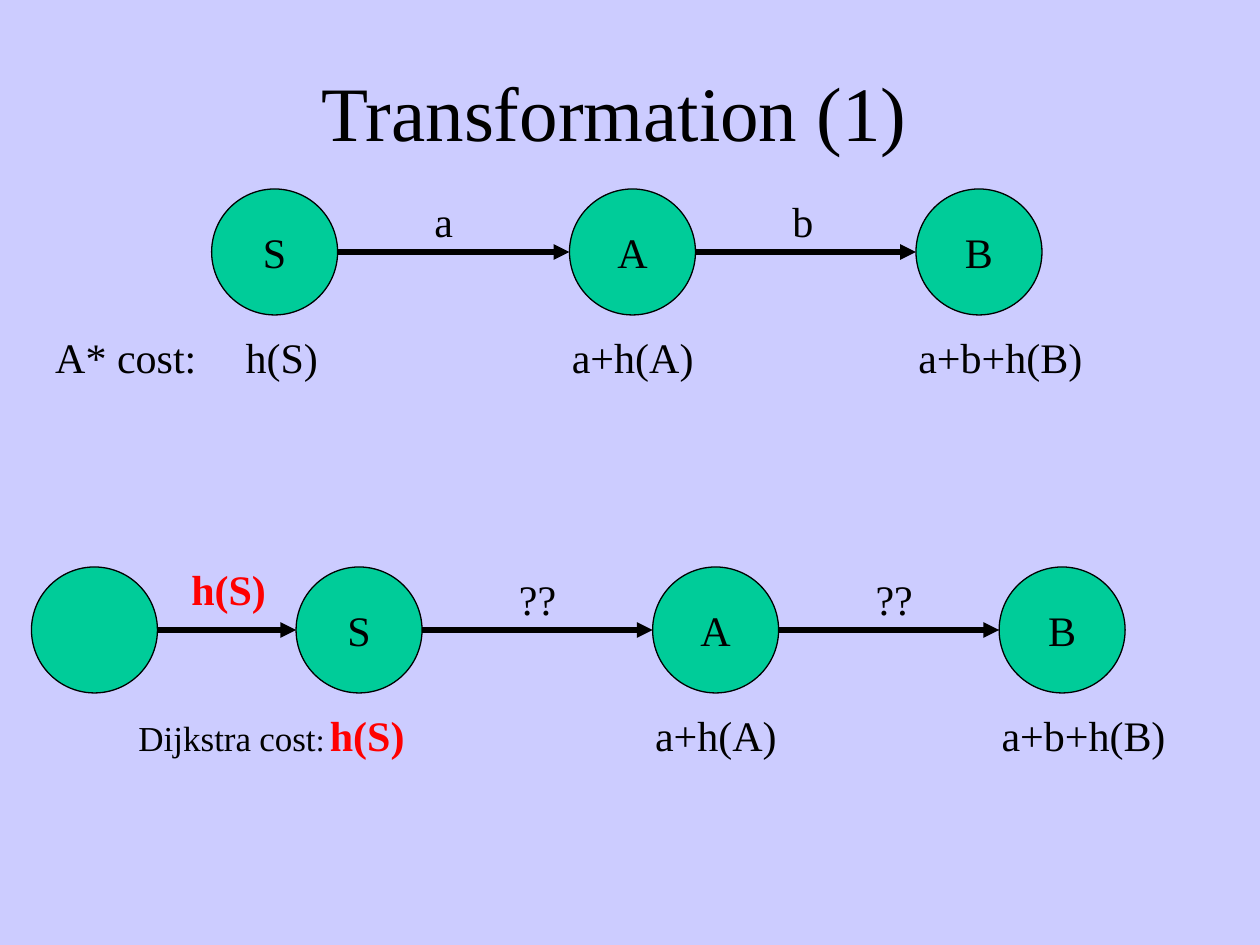
"""Build the slide that compares A* costs with Dijkstra costs on a small graph."""
from lxml import etree
from pptx import Presentation
from pptx.dml.color import RGBColor
from pptx.enum.shapes import MSO_CONNECTOR, MSO_SHAPE
from pptx.enum.text import MSO_ANCHOR, MSO_AUTO_SIZE, PP_ALIGN
from pptx.oxml.ns import qn
from pptx.util import Inches, Pt

ELLIPSE = MSO_SHAPE.OVAL
STRAIGHT = MSO_CONNECTOR.STRAIGHT
MIDDLE = MSO_ANCHOR.MIDDLE
CENTER = PP_ALIGN.CENTER
GROW = MSO_AUTO_SIZE.SHAPE_TO_FIT_TEXT
FONT = "Times New Roman"
BLACK, RED, GREEN, LAVENDER = "000000", "FF0000", "00CC99", "CCCCFF"
DIAMETER = 1


def rgb(color):
    return RGBColor.from_string(color)


def write(frame, pieces, color=BLACK, bold=False):
    para = frame.paragraphs[0]
    for text, size in pieces:
        span = para.add_run()
        span.text = text
        span.font.name = FONT
        span.font.size = Pt(size)
        span.font.bold = bold
        span.font.color.rgb = rgb(color)
    return para


deck = Presentation()
deck.slide_width, deck.slide_height = Inches(10), Inches(7.5)
page = deck.slides.add_slide(deck.slide_layouts[6])
page.background.fill.solid()
page.background.fill.fore_color.rgb = rgb(LAVENDER)

title = page.shapes.add_textbox(Inches(0.75), Inches(0.25), Inches(8.25), Inches(1.25))
title.text_frame.word_wrap = True
title.text_frame.vertical_anchor = MIDDLE
write(title.text_frame, [("Transformation (1)", 44)]).alignment = CENTER

graphs = [
    (1.5, [("S", 1.68), ("A", 4.52), ("B", 7.27)]),
    (4.5, [("", 0.25), ("S", 2.35), ("A", 5.18), ("B", 7.93)]),
]
for top, nodes in graphs:
    for name, left in nodes:
        node = page.shapes.add_shape(
            ELLIPSE, Inches(left), Inches(top), Inches(DIAMETER), Inches(DIAMETER))
        node.shadow.inherit = False
        node.fill.solid()
        node.fill.fore_color.rgb = rgb(GREEN)
        node.line.color.rgb = rgb(BLACK)
        node.line.width = Pt(0.75)
        node.text_frame.word_wrap = False
        node.text_frame.vertical_anchor = MIDDLE
        if name:
            write(node.text_frame, [(name, 24)]).alignment = CENTER

    middle = Inches(top + DIAMETER / 2)
    for (_, start), (_, end) in zip(nodes, nodes[1:]):
        arrow = page.shapes.add_connector(
            STRAIGHT, Inches(start + DIAMETER), middle, Inches(end), middle)
        arrow.line.color.rgb = rgb(BLACK)
        arrow.line.width = Pt(3)
        etree.SubElement(arrow.line._get_or_add_ln(), qn("a:tailEnd"), type="triangle")
        etree.SubElement(arrow._element.spPr, qn("a:effectLst"))

dijkstra_cost = [("Dijkstra", 20), (" ", 18), ("cost", 20), (":", 18)]
labels = [
    ([("a", 24)], 3.35, 1.5, 0.36, 0.5, BLACK),
    ([("b", 24)], 6.19, 1.5, 0.37, 0.5, BLACK),
    ([("A* cost:", 24)], 0.34, 2.58, 1.33, 0.5, BLACK),
    ([("h(S)", 24)], 1.85, 2.58, 0.79, 0.5, BLACK),
    ([("a+h(A)", 24)], 4.44, 2.58, 1.18, 0.5, BLACK),
    ([("a+b+h(B)", 24)], 7.19, 2.58, 1.51, 0.5, BLACK),
    ([("h(S)", 24)], 1.42, 4.42, 0.8, 0.5, RED),
    ([("??", 24)], 4.02, 4.5, 0.51, 0.5, BLACK),
    ([("??", 24)], 6.85, 4.5, 0.51, 0.5, BLACK),
    (dijkstra_cost, 1, 5.64, 1.69, 0.44, BLACK),
    ([("h(S)", 24)], 2.52, 5.58, 0.8, 0.5, RED),
    ([("a+h(A)", 24)], 5.1, 5.58, 1.18, 0.5, BLACK),
    ([("a+b+h(B)", 24)], 7.85, 5.58, 1.51, 0.5, BLACK),
]
for pieces, left, top, width, height, color in labels:
    box = page.shapes.add_textbox(
        Inches(left), Inches(top), Inches(width), Inches(height))
    box.text_frame.word_wrap = False
    box.text_frame.auto_size = GROW
    write(box.text_frame, pieces, color, bold=color == RED)

deck.save("out.pptx")
